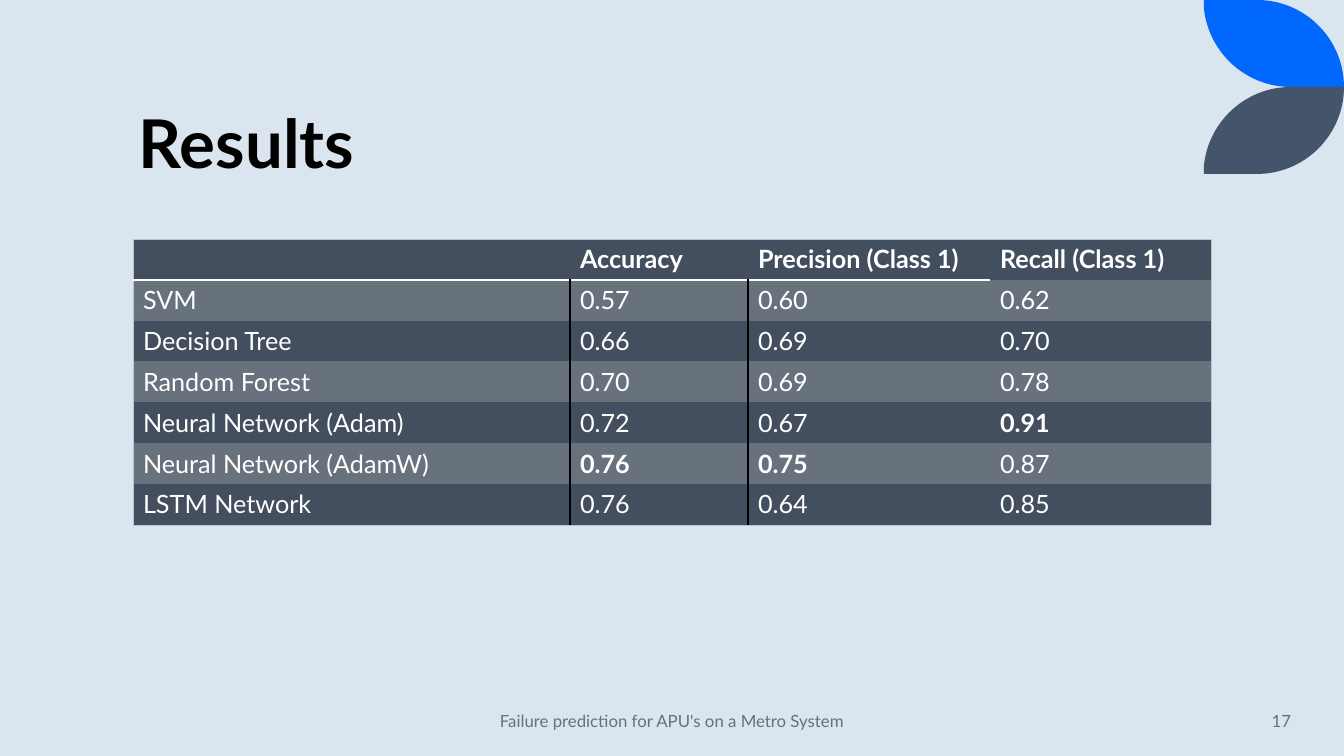
import lxml.etree
import pptx
import pptx.dml.color
import pptx.enum.text
import pptx.oxml.ns
import pptx.util

RGB = pptx.dml.color.RGBColor
ALIGN = pptx.enum.text.PP_ALIGN
ANCHOR = pptx.enum.text.MSO_ANCHOR
qn = pptx.oxml.ns.qn

BACKGROUND = RGB(0xDA, 0xE5, 0xEF)
BLUE = RGB(0x00, 0x68, 0xFF)
SLATE = RGB(0x44, 0x54, 0x6A)
DARK_ROW = RGB(0x43, 0x4E, 0x5E)
LIGHT_ROW = RGB(0x68, 0x72, 0x7D)
FRAME = RGB(0xC0, 0xC2, 0xC5)
FOOTER = RGB(0x63, 0x71, 0x83)
BLACK = RGB(0x00, 0x00, 0x00)
WHITE = RGB(0xFF, 0xFF, 0xFF)

RESULTS = [
    ("", "Accuracy", "Precision (Class 1)", "Recall (Class 1)"),
    ("SVM", "0.57", "0.60", "0.62"),
    ("Decision Tree", "0.66", "0.69", "0.70"),
    ("Random Forest", "0.70", "0.69", "0.78"),
    ("Neural Network (Adam)", "0.72", "0.67", "0.91"),
    ("Neural Network (AdamW)", "0.76", "0.75", "0.87"),
    ("LSTM Network", "0.76", "0.64", "0.85"),
]
BEST = {(4, 3), (5, 1), (5, 2)}  # (row, column) of the highlighted scores
COLUMN_WIDTHS = (437, 178, 242, 221)
TABLE_LEFT, TABLE_TOP, TABLE_HEIGHT = 133, 239, 286

# text, box (left, top, width, height), alignment, anchor, line spacing, font
LABELS = [
    ("Results", (129, 42, 1078, 146), ALIGN.LEFT, ANCHOR.BOTTOM, 0.9,
     {"size": 48, "bold": True, "color": BLACK}),
    ("Failure prediction for APU's on a Metro System", (445, 701, 454, 40),
     ALIGN.CENTER, ANCHOR.MIDDLE, 1.0, {"size": 12, "bold": False, "color": FOOTER}),
    ("17", (1119, 701, 182, 40), ALIGN.RIGHT, ANCHOR.MIDDLE, 1.0,
     {"size": 12, "bold": False, "color": FOOTER}),
]

# Upper leaf: one point makes a straight edge, three make a Bezier curve
LEAF_TIP = (1204, 0)
LEAF_EDGES = [
    [(1257, 0)],
    [(1305, 0), (1344, 39), (1344, 87)],
    [(1291, 87)],
    [(1246, 87), (1209, 53), (1204, 9)],
]
LEAF_HEIGHT = 87


def px(length):
    return round(length * 914400 / 100.8)


def style_text(paragraph, size, bold, color):
    font = paragraph.font
    for name, value in {"name": "Lato", "size": pptx.util.Pt(size), "bold": bold}.items():
        setattr(font, name, value)
    font.color.rgb = color


def bend_edges(leaf):
    """Join the segments of each three-point edge into one cubic curve."""
    segments = iter(list(leaf._element.iter(qn("a:lnTo"))))
    for edge in LEAF_EDGES:
        parts = [next(segments) for _ in edge]
        if len(parts) == 3:
            curve = lxml.etree.Element(qn("a:cubicBezTo"))
            parts[0].addprevious(curve)
            for part in parts:
                curve.append(part[0])
                part.getparent().remove(part)


def add_leaf(slide, color, mirrored):
    outline = [LEAF_TIP] + [point for edge in LEAF_EDGES for point in edge]
    if mirrored:
        outline = [(x, 2 * LEAF_HEIGHT - y) for x, y in outline]
    start, *rest = [(px(x), px(y)) for x, y in outline]
    builder = slide.shapes.build_freeform(*start, scale=1.0)
    builder.add_line_segments(rest, close=True)
    leaf = builder.convert_to_shape()
    bend_edges(leaf)
    leaf.shadow.inherit = False
    leaf.fill.solid()
    leaf.fill.fore_color.rgb = color
    leaf.line.fill.background()


def add_label(slide, text, box, alignment, anchor, spacing, font):
    frame = slide.shapes.add_textbox(*map(px, box)).text_frame
    frame.word_wrap = True
    frame.vertical_anchor = anchor
    paragraph = frame.paragraphs[0]
    paragraph.text = text
    paragraph.alignment = alignment
    paragraph.line_spacing = spacing
    style_text(paragraph, **font)


def cell_borders(row, column):
    """Colour and width in points for each side; None leaves a side bare."""
    last_row, last_column = len(RESULTS) - 1, len(COLUMN_WIDTHS) - 1
    frame, divider, rule = (FRAME, 0.5), (BLACK, 1), (WHITE, 1.5)
    body = row > 0
    ruled = column < last_column
    return {
        "L": frame if column == 0 else divider if body and ruled else None,
        "R": frame if column == last_column else divider if body and column < last_column - 1 else None,
        "T": frame if row == 0 else rule if row == 1 and ruled else None,
        "B": frame if row == last_row else rule if row == 0 and ruled else None,
    }


def draw_borders(cell, borders):
    properties = cell._tc.get_or_add_tcPr()
    for side, border in borders.items():
        line = lxml.etree.SubElement(properties, qn("a:ln" + side))
        if border is None:
            line.set("w", "0")
            lxml.etree.SubElement(line, qn("a:noFill"))
            continue
        color, width = border
        line.set("w", str(pptx.util.Pt(width)))
        fill = lxml.etree.SubElement(line, qn("a:solidFill"))
        lxml.etree.SubElement(fill, qn("a:srgbClr")).set("val", str(color))


def add_results(slide):
    table = slide.shapes.add_table(
        len(RESULTS), len(COLUMN_WIDTHS), px(TABLE_LEFT), px(TABLE_TOP),
        px(sum(COLUMN_WIDTHS)), px(TABLE_HEIGHT)).table
    for column, width in zip(table.columns, COLUMN_WIDTHS):
        column.width = px(width)
    for r, record in enumerate(RESULTS):
        table.rows[r].height = px(TABLE_HEIGHT / len(RESULTS))
        for c, text in enumerate(record):
            cell = table.cell(r, c)
            draw_borders(cell, cell_borders(r, c))
            cell.fill.solid()
            cell.fill.fore_color.rgb = LIGHT_ROW if r % 2 else DARK_ROW
            paragraph = cell.text_frame.paragraphs[0]
            paragraph.text = text
            style_text(paragraph, 18, r == 0 or (r, c) in BEST, WHITE)


def main():
    deck = pptx.Presentation()
    deck.slide_width, deck.slide_height = px(1344), px(756)
    slide = deck.slides.add_slide(deck.slide_layouts[6])
    slide.background.fill.solid()
    slide.background.fill.fore_color.rgb = BACKGROUND
    add_leaf(slide, BLUE, mirrored=False)
    add_leaf(slide, SLATE, mirrored=True)
    add_results(slide)
    for label in LABELS:
        add_label(slide, *label)
    deck.save("out.pptx")


if __name__ == "__main__":
    main()
